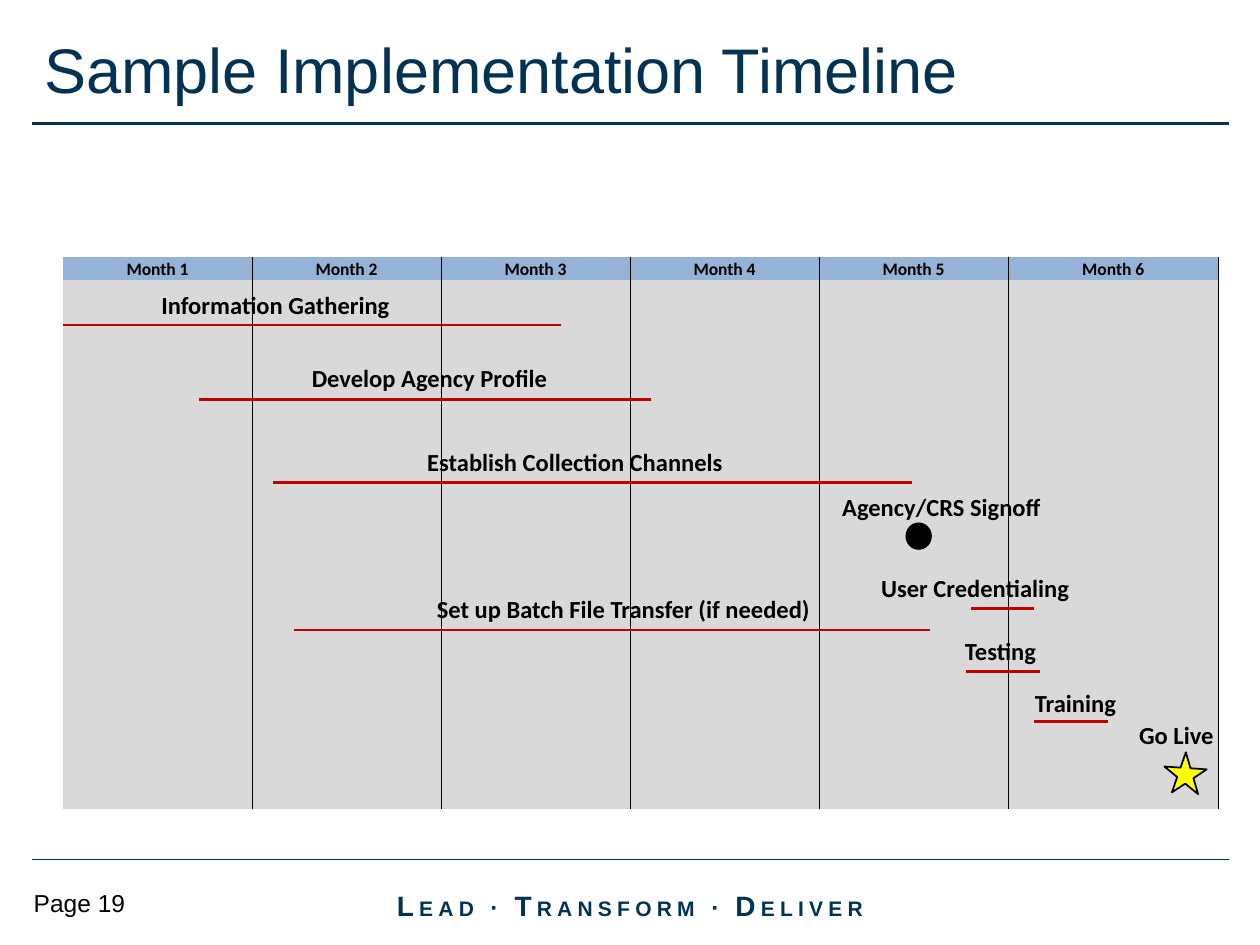
from lxml import etree
from pptx import Presentation
from pptx.dml.color import RGBColor
from pptx.enum.shapes import MSO_CONNECTOR, MSO_SHAPE
from pptx.enum.text import MSO_ANCHOR, MSO_AUTO_SIZE, PP_ALIGN
from pptx.oxml.ns import qn
from pptx.util import Cm, Pt

STRAIGHT = MSO_CONNECTOR.STRAIGHT
STAR, MILESTONE = MSO_SHAPE.STAR_5_POINT, MSO_SHAPE.FLOWCHART_CONNECTOR
LEFT, CENTER = PP_ALIGN.LEFT, PP_ALIGN.CENTER
TOP, MIDDLE, BOTTOM = MSO_ANCHOR.TOP, MSO_ANCHOR.MIDDLE, MSO_ANCHOR.BOTTOM
GROW = MSO_AUTO_SIZE.SHAPE_TO_FIT_TEXT

NAVY, BLACK, RED, YELLOW = "043253", "000000", "C00000", "FFFF00"
HEADER, GRID = "95B3D7", "D9D9D9"
PLAIN_TABLE = "{2D5ABB26-0587-4C30-8999-92F81FD0307C}"

# Label, its left, top and width, then start, end and height of its bar (cm)
TASKS = [
    ("Information Gathering ", 2.97, 5.72, 5.28, 1.27, 11.3, 6.55),
    ("Develop Agency Profile", 6.02, 7.19, 5.28, 4.01, 13.13, 8.05),
    ("Establish Collection Channels ", 8.26, 8.89, 6.78, 5.51, 18.39, 9.73),
    ("Set up Batch File Transfer (if needed) ", 7.95, 11.86, 9.35, 5.92, 18.75, 12.7),
    ("User Credentialing ", 17.3, 11.43, 4.83, 19.58, 20.85, 12.27),
    ("Testing", 18.75, 12.7, 2.84, 19.48, 20.96, 13.54),
    ("Training", 20.09, 13.74, 3.18, 20.85, 22.33, 14.55),
]
MILESTONES = [
    ("Agency/CRS Signoff ", 16.71, 9.8, 4.65),
    ("Go Live", 22.66, 14.4, 2.11),
]
MOTTO = ["Lead", "Transform", "Deliver"]


def color(value):
    return RGBColor.from_string(value)


class TimelineSlide:
    label = {"name": "Calibri", "size": Pt(14), "bold": True}
    heading = {"name": "Calibri", "size": Pt(10), "bold": True}

    def __init__(self, deck):
        self.slide = deck.slides.add_slide(deck.slide_layouts[6])
        self.shapes = self.slide.shapes

    def run(self, paragraph, text, style, tint=BLACK):
        run = paragraph.add_run()
        run.text = text
        for attribute, value in style.items():
            setattr(run.font, attribute, value)
        run.font.color.rgb = color(tint)
        return run

    def box(self, left, top, width, height, align=LEFT, anchor=TOP):
        frame = self.shapes.add_textbox(Cm(left), Cm(top), Cm(width), Cm(height)).text_frame
        frame.word_wrap = True
        frame.vertical_anchor = anchor
        frame.paragraphs[0].alignment = align
        return frame

    def task_label(self, text, left, top, width):
        frame = self.box(left, top, width, 0.86, CENTER)
        frame.auto_size = GROW
        self.run(frame.paragraphs[0], text, self.label)

    def line(self, start, end, y, tint, weight):
        line = self.shapes.add_connector(STRAIGHT, Cm(start), Cm(y), Cm(end), Cm(y))
        line.line.color.rgb = color(tint)
        line.line.width = Pt(weight)
        etree.SubElement(line.element.spPr, qn("a:effectLst"))

    def marker(self, kind, left, top, width, height, fill, weight, rotation=0):
        marker = self.shapes.add_shape(kind, Cm(left), Cm(top), Cm(width), Cm(height))
        marker.shadow.inherit = False
        marker.fill.solid()
        marker.fill.fore_color.rgb = color(fill)
        marker.line.color.rgb = color(BLACK)
        marker.line.width = Pt(weight)
        marker.rotation = rotation
        marker.element.spPr.get_or_add_xfrm().set("flipV", "1")

    def cell_border(self, cell, side):
        # Borders come before the fill in the cell properties
        border = etree.Element(qn(f"a:{side}"), w=str(Pt(0.5)))
        fill = etree.SubElement(border, qn("a:solidFill"))
        etree.SubElement(fill, qn("a:srgbClr"), val=BLACK)
        cell.fill._xPr.insert(0, border)

    def month_grid(self, left, top, columns, rows):
        table = self.shapes.add_table(len(rows), len(columns), Cm(left), Cm(top),
                                      Cm(sum(columns)), Cm(sum(rows))).table
        table.first_row = table.horz_banding = False
        table._tbl.tblPr.find(qn("a:tableStyleId")).text = PLAIN_TABLE
        for column, width in zip(table.columns, columns):
            column.width = Cm(width)
        for row, height in zip(table.rows, rows):
            row.height = Cm(height)
        layout = {"margin_left": Cm(0.02), "margin_right": Cm(0.02), "margin_top": Cm(0.02),
                  "margin_bottom": 0, "vertical_anchor": BOTTOM}
        for r in range(len(rows)):
            for c in range(len(columns)):
                cell = table.cell(r, c)
                for attribute, value in layout.items():
                    setattr(cell, attribute, value)
                cell.fill.solid()
                cell.fill.fore_color.rgb = color(GRID if r else HEADER)
                self.cell_border(cell, "lnR")
                if c:
                    self.cell_border(cell, "lnL")
                paragraph = cell.text_frame.paragraphs[0]
                if r:
                    # Small type keeps the empty rows at their set height
                    etree.SubElement(paragraph._p, qn("a:endParaRPr"), sz="500")
                else:
                    paragraph.alignment = CENTER
                    self.run(paragraph, f"Month {c + 1}", self.heading)

    def motto(self, words):
        paragraph = self.box(7.19, 17.75, 11.02, 1.02, CENTER, MIDDLE).paragraphs[0]
        pieces = []
        for i, word in enumerate(words):
            last = i == len(words) - 1
            pieces += [(word[0], 16), (word[1:].upper() + ("" if last else " "), 12)]
            if not last:
                pieces.append(("∙ ", 14))
        for text, size in pieces:
            style = {"name": "Arial", "size": Pt(size), "bold": True}
            run = self.run(paragraph, text, style, NAVY)
            run.font._element.set("spc", "300")


def main():
    deck = Presentation()
    deck.slide_width, deck.slide_height = Cm(25.4), Cm(19.05)
    page = TimelineSlide(deck)

    # Footer and rules
    page.line(0.64, 24.77, 17.32, NAVY, 0.75)
    page.motto(MOTTO)
    page.line(0.64, 24.77, 2.49, NAVY, 2.25)
    number = page.box(0.43, 17.78, 3.18, 0.84).paragraphs[0]
    page.run(number, "Page 19", {"name": "Arial", "size": Pt(14)})

    # Title
    title = page.box(0.64, 0.43, 24.13, 1.9, anchor=MIDDLE).paragraphs[0]
    page.run(title, "Sample Implementation Timeline", {"name": "Arial", "size": Pt(36)}, NAVY)

    # Month grid
    page.month_grid(1.27, 5.18, [3.81] * 5 + [4.24],
                    [0.47] * 18 + [0.25] + [0.47] * 3 + [0.53, 0.47])

    # Tasks
    for text, left, top, width, start, end, y in TASKS:
        page.task_label(text, left, top, width)
        page.line(start, end, y, RED, 1.5)

    # Milestones
    for milestone in MILESTONES:
        page.task_label(*milestone)
    page.marker(MILESTONE, 18.29, 10.57, 0.46, 0.48, BLACK, 2)
    page.marker(STAR, 23.5, 15.24, 0.84, 0.84, YELLOW, 1, 326.5)

    deck.save("out.pptx")


if __name__ == "__main__":
    main()
